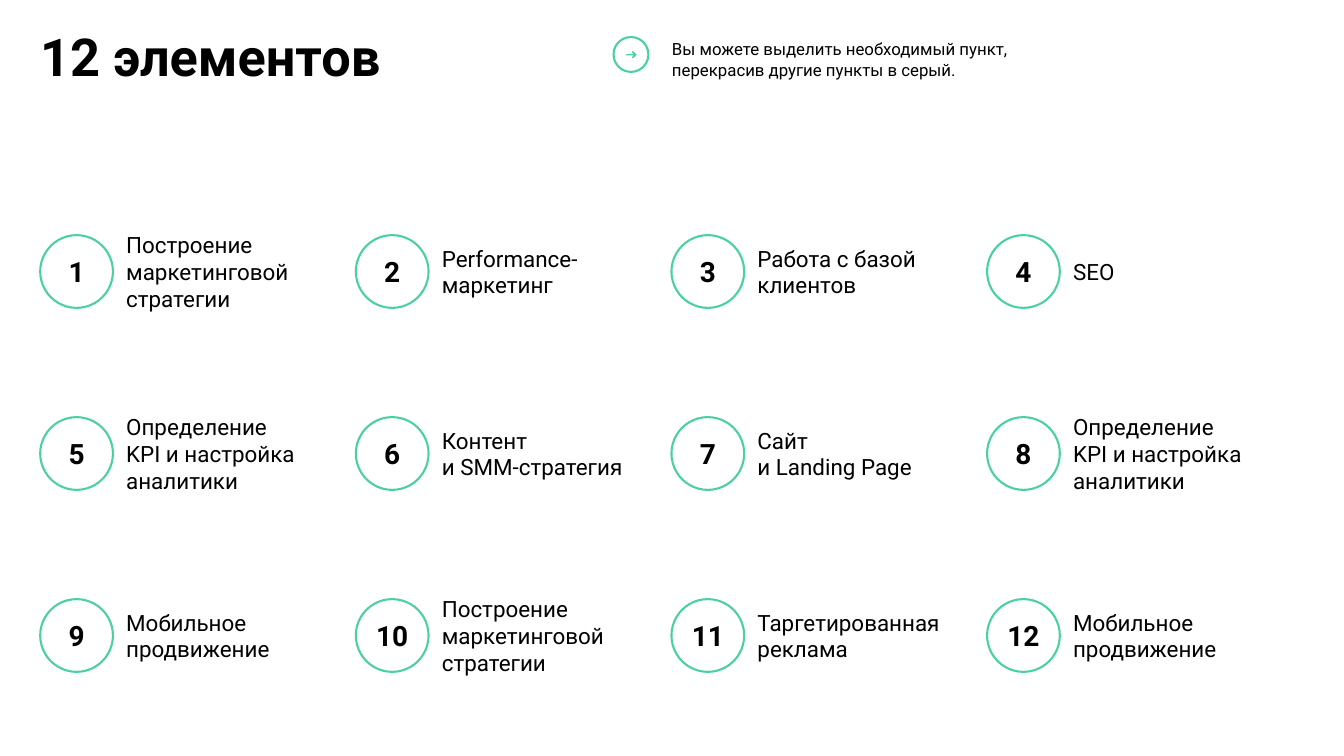
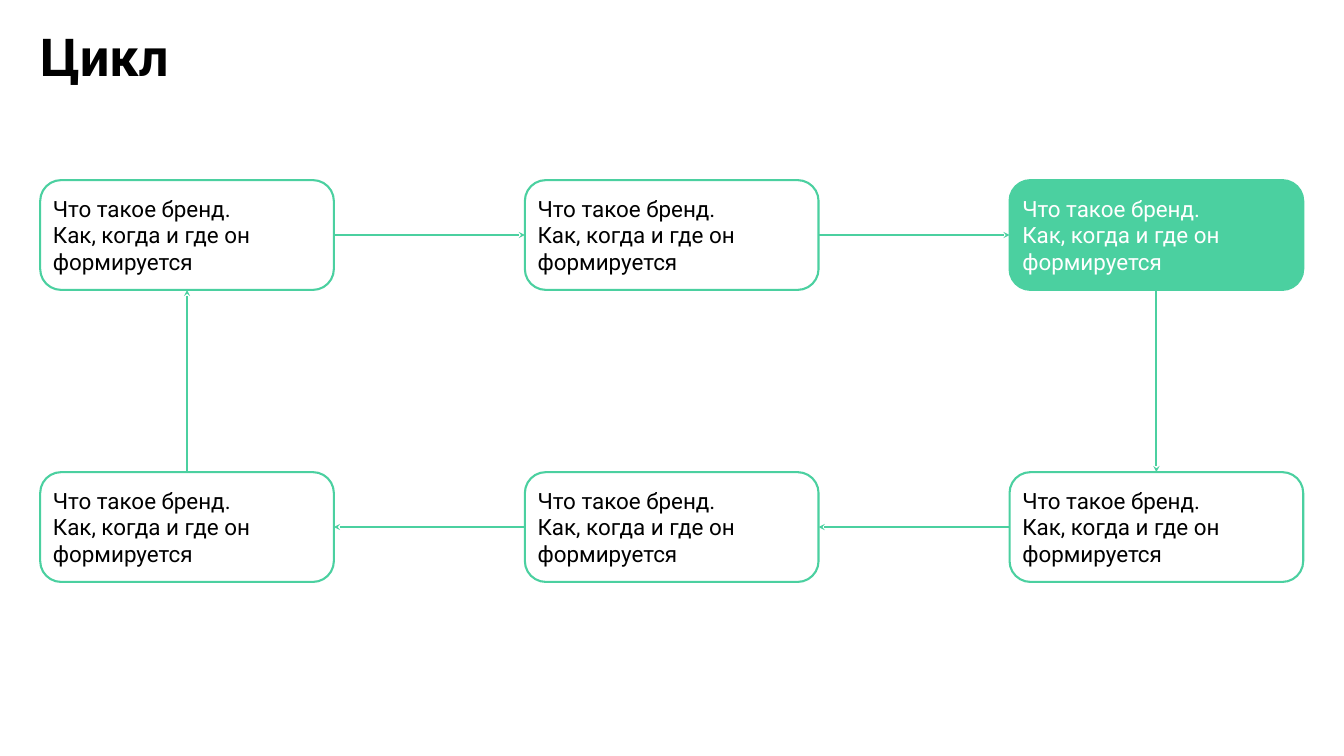
"""Build two slides: a grid of twelve numbered elements and a six-step cycle."""
import pptx
import pptx.util
import pptx.dml.color
import pptx.enum.shapes
import pptx.enum.text
import pptx.oxml.ns
from lxml import etree

Cm = pptx.util.Cm
Pt = pptx.util.Pt
ANCHOR = pptx.enum.text.MSO_ANCHOR
ALIGN = pptx.enum.text.PP_ALIGN
SHAPE = pptx.enum.shapes.MSO_SHAPE

FONT = "Roboto"
GREEN, BLACK, WHITE = "4BD0A0", "000000", "FFFFFF"
MARGIN = 1.52
INSET = 0.25

ELEMENTS_TITLE = "12 элементов"
NOTE = ["Вы можете выделить необходимый пункт,", "перекрасив другие пункты в серый."]
ELEMENTS = [
    "Построение маркетинговой стратегии",
    "Performance-\nмаркетинг",
    "Работа с базой\nклиентов",
    "SEO",
    "Определение\nKPI и настройка аналитики",
    "Контент\nи SMM-стратегия",
    "Сайт\nи Landing Page",
    "Определение\nKPI и настройка аналитики",
    "Мобильное продвижение",
    "Построение маркетинговой стратегии",
    "Таргетированная\nреклама",
    "Мобильное продвижение",
]
ELEMENT_COLUMNS = 4
ARROW_OUTLINE = [(2367, 206), (2399, 206), (2390, 197), (2392, 195), (2405, 207),
                 (2392, 219), (2390, 217), (2399, 208), (2367, 208)]

CYCLE_TITLE = "Цикл"
STEP_TEXT = "Что такое бренд.\nКак, когда и где он формируется"
STEPS = [(0, 0), (1, 0), (2, 0), (2, 1), (1, 1), (0, 1)]
HIGHLIGHTED_STEP = 2
TOP, LEFT, BOTTOM, RIGHT = range(4)
STEP_SIDES = [(RIGHT, LEFT), (RIGHT, LEFT), (BOTTOM, TOP),
              (LEFT, RIGHT), (LEFT, RIGHT), (TOP, BOTTOM)]


def color(value):
    return pptx.dml.color.RGBColor.from_string(value)


def write(shape, paragraphs, size, font_color=BLACK, bold=False, align=ALIGN.LEFT,
          anchor=ANCHOR.MIDDLE, insets=(INSET,) * 4, spacing=None):
    frame = shape.text_frame
    frame.word_wrap = True
    frame.auto_size = pptx.enum.text.MSO_AUTO_SIZE.NONE
    frame.vertical_anchor = anchor
    (frame.margin_left, frame.margin_top,
     frame.margin_right, frame.margin_bottom) = [Cm(inset) for inset in insets]
    for index, text in enumerate(paragraphs):
        paragraph = frame.add_paragraph() if index else frame.paragraphs[0]
        paragraph.alignment = align
        if spacing:
            paragraph.line_spacing = spacing
        for line_index, line in enumerate(text.split("\n")):
            if line_index:
                paragraph.add_line_break()
            run = paragraph.add_run()
            run.text = line
            run.font.name = FONT
            run.font.size = Pt(size)
            run.font.bold = bold
            run.font.color.rgb = color(font_color)


def add_titled_slide(presentation, title):
    slide = presentation.slides.add_slide(presentation.slide_layouts[5])
    shape = slide.shapes.title
    shape.left, shape.top, shape.width, shape.height = Cm(MARGIN), Cm(1.37), Cm(39.7), Cm(4.09)
    write(shape, [title], 56, bold=True, anchor=ANCHOR.TOP, insets=(0,) * 4, spacing=0.8)
    return slide


def add_text_box(slide, box, paragraphs, size, insets):
    shape = slide.shapes.add_textbox(*map(Cm, box))
    write(shape, paragraphs, size, insets=insets)


def add_outlined(slide, kind, box, fill=None):
    shape = slide.shapes.add_shape(kind, *map(Cm, box))
    paint(shape, fill, 2.25)
    return shape


def paint(shape, fill, line_width):
    shape.shadow.inherit = False
    if fill:
        shape.fill.solid()
        shape.fill.fore_color.rgb = color(fill)
    else:
        shape.fill.background()
    shape.line.color.rgb = color(GREEN)
    shape.line.width = Pt(line_width)


def add_arrow(slide, start, start_side, end, end_side):
    connector = slide.shapes.add_connector(
        pptx.enum.shapes.MSO_CONNECTOR.STRAIGHT, 0, 0, 0, 0)
    connector.begin_connect(start, start_side)
    connector.end_connect(end, end_side)
    connector.line.color.rgb = color(GREEN)
    connector.line.width = Pt(2.25)
    line = connector.line._get_or_add_ln()
    etree.SubElement(line, pptx.oxml.ns.qn("a:tailEnd"), type="stealth")
    etree.SubElement(connector._element.spPr, pptx.oxml.ns.qn("a:effectLst"))


def build_elements(presentation):
    slide = add_titled_slide(presentation, ELEMENTS_TITLE)
    diameter, text_height = 2.75, 4.1
    for index, text in enumerate(ELEMENTS):
        row, column = divmod(index, ELEMENT_COLUMNS)
        left, top = MARGIN + column * 11.93, 8.89 + row * 6.88
        circle = add_outlined(slide, SHAPE.OVAL, (left, top, diameter, diameter))
        write(circle, [str(index + 1)], 30, bold=True, align=ALIGN.CENTER)
        text_top = top + (diameter - text_height) / 2
        add_text_box(slide, (left + 3.25, text_top, 8.66, text_height), [text], 24,
                     (0, INSET, INSET, INSET))
    add_text_box(slide, (25.4, 1.37, 15.82, 2), NOTE, 18, (0, 0, INSET, INSET))
    add_outlined(slide, SHAPE.OVAL, (23.19, 1.4, 1.32, 1.32))
    builder = slide.shapes.build_freeform(*ARROW_OUTLINE[0], scale=Cm(0.01))
    builder.add_line_segments(ARROW_OUTLINE[1:], close=True)
    paint(builder.convert_to_shape(), GREEN, 0.75)


def build_cycle(presentation):
    slide = add_titled_slide(presentation, CYCLE_TITLE)
    boxes = []
    for index, (column, row) in enumerate(STEPS):
        highlighted = index == HIGHLIGHTED_STEP
        place = (MARGIN + column * 18.32, 6.81 + row * 11.04, 11.1, 4.15)
        box = add_outlined(slide, SHAPE.ROUNDED_RECTANGLE, place,
                           GREEN if highlighted else WHITE)
        box.adjustments[0] = 0.19
        write(box, [STEP_TEXT], 24, WHITE if highlighted else BLACK)
        boxes.append(box)
    for start, end, sides in zip(boxes, boxes[1:] + boxes[:1], STEP_SIDES):
        add_arrow(slide, start, sides[0], end, sides[1])


def main():
    presentation = pptx.Presentation()
    presentation.slide_width, presentation.slide_height = Cm(50.8), Cm(28.58)
    build_elements(presentation)
    build_cycle(presentation)
    presentation.save("out.pptx")


if __name__ == "__main__":
    main()
